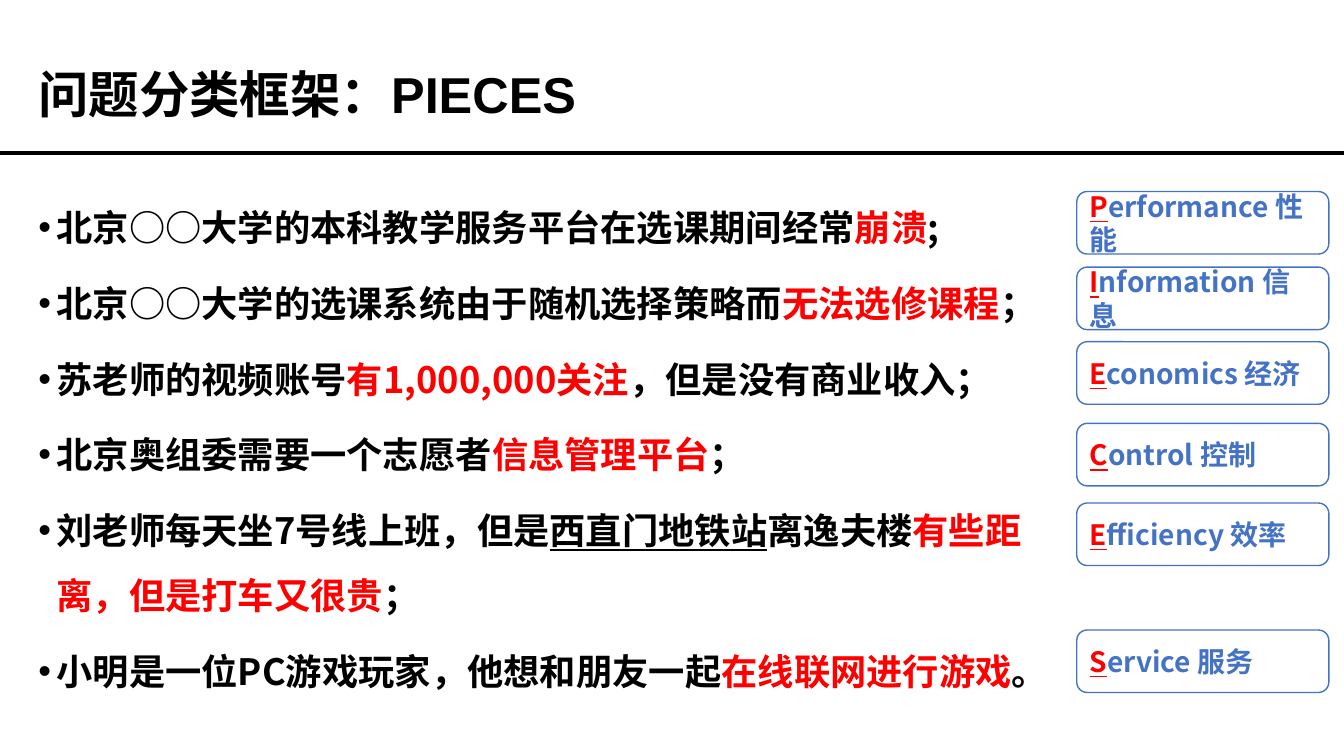
from lxml import etree
from pptx import Presentation
from pptx.dml.color import RGBColor
from pptx.enum.shapes import MSO_CONNECTOR as CONN, MSO_SHAPE as SHAPE
from pptx.enum.text import MSO_ANCHOR as ANCHOR, MSO_AUTO_SIZE as AUTO, PP_ALIGN as ALIGN
from pptx.oxml.ns import qn
from pptx.util import Inches, Pt

CJK = "Noto Sans CJK SC"
BLACK, RED, BLUE, WHITE = "000000", "FF0000", "4472C4", "FFFFFF"

PROBLEMS = [
    [("北京○○大学的本科教学服务平台在选课期间经常", BLACK), ("崩溃", RED), (";", BLACK)],
    [("北京○○大学的选课系统由于随机选择策略而", BLACK), ("无法选修课程", RED), ("；", BLACK)],
    [("苏老师的视频账号", BLACK), ("有1,000,000关注", RED), ("，但是没有商业收入；", BLACK)],
    [("北京奥组委需要一个志愿者", BLACK), ("信息管理平台", RED), ("；", BLACK)],
    [("刘老师每天坐7号线上班，但是", BLACK), ("西直门地铁站", BLACK, True),
     ("离逸夫楼", BLACK), ("有些距离，但是打车又很贵", RED), ("；", BLACK)],
    [("小明是一位PC游戏玩家，他想和朋友一起", BLACK), ("在线联网进行游戏", RED), ("。", BLACK)],
]

CATEGORIES = [
    ("Performance 性能", 1.9),
    ("Information 信息", 2.65),
    ("Economics 经济", 3.39),
    ("Control 控制", 4.2),
    ("Efficiency 效率", 4.99),
    ("Service 服务", 6.25),
]


def rgb(value):
    return RGBColor.from_string(value)


def add_run(p, text, size, color, underline=False, font=CJK):
    r = p.add_run()
    r.text = text
    r.font.size = Pt(size)
    r.font.bold = True
    r.font.underline = underline
    r.font.color.rgb = rgb(color)
    r.font.name = font
    etree.SubElement(r.font._element, qn("a:ea"), typeface=CJK)


def place(sp, left, top, width, height):
    sp.left, sp.top = Inches(left), Inches(top)
    sp.width, sp.height = Inches(width), Inches(height)


def set_bullet(p, indent):
    pPr = p._p.get_or_add_pPr()
    pPr.set("marL", str(Inches(indent)))
    pPr.set("indent", str(-Inches(indent)))
    etree.SubElement(pPr, qn("a:buFont"), typeface="Arial")
    etree.SubElement(pPr, qn("a:buChar"), char="•")


def fill_title(sp):
    place(sp, 0.28, 0.32, 8.12, 0.96)
    tf = sp.text_frame
    tf.auto_size = AUTO.NONE
    tf.vertical_anchor = ANCHOR.BOTTOM
    p = tf.paragraphs[0]
    p.alignment = ALIGN.LEFT
    p.line_spacing = 0.9
    p.space_after = Pt(12)
    add_run(p, "问题分类框架：PIECES", 36, BLACK, font="Arial")


def fill_problems(sp):
    place(sp, 0.28, 1.77, 10.09, 5.49)
    tf = sp.text_frame
    tf.auto_size = AUTO.NONE
    tf.vertical_anchor = ANCHOR.TOP
    for i, runs in enumerate(PROBLEMS):
        p = tf.add_paragraph() if i else tf.paragraphs[0]
        p.line_spacing = 1.5
        p.space_before = Pt(7.5 if i else 0)
        set_bullet(p, 0.18)
        for text, color, *underline in runs:
            add_run(p, text, 25.9, color, bool(underline))


def add_rule(s):
    line = s.shapes.add_connector(CONN.STRAIGHT, 0, Inches(1.52), Inches(13.33), Inches(1.52))
    line.line.color.rgb = rgb(BLACK)
    line.line.width = Pt(3)
    etree.SubElement(line._element.spPr, qn("a:effectLst"))


def add_category(s, label, top):
    sp = s.shapes.add_shape(SHAPE.ROUNDED_RECTANGLE, Inches(10.68), Inches(top),
                            Inches(2.5), Inches(0.62))
    sp.shadow.inherit = False
    sp.fill.solid()
    sp.fill.fore_color.rgb = rgb(WHITE)
    sp.line.color.rgb = rgb(BLUE)
    sp.line.width = Pt(1)
    tf = sp.text_frame
    tf.word_wrap = True
    tf.vertical_anchor = ANCHOR.MIDDLE
    p = tf.paragraphs[0]
    p.alignment = ALIGN.LEFT
    add_run(p, label[0], 20, RED, True)
    add_run(p, label[1:], 20, BLUE)


def main():
    prs = Presentation()
    prs.slide_width, prs.slide_height = Inches(13.33), Inches(7.5)
    s = prs.slides.add_slide(prs.slide_layouts[1])
    fill_title(s.shapes.title)
    fill_problems(s.placeholders[1])
    add_rule(s)
    for label, top in CATEGORIES:
        add_category(s, label, top)
    prs.save("out.pptx")


if __name__ == "__main__":
    main()
